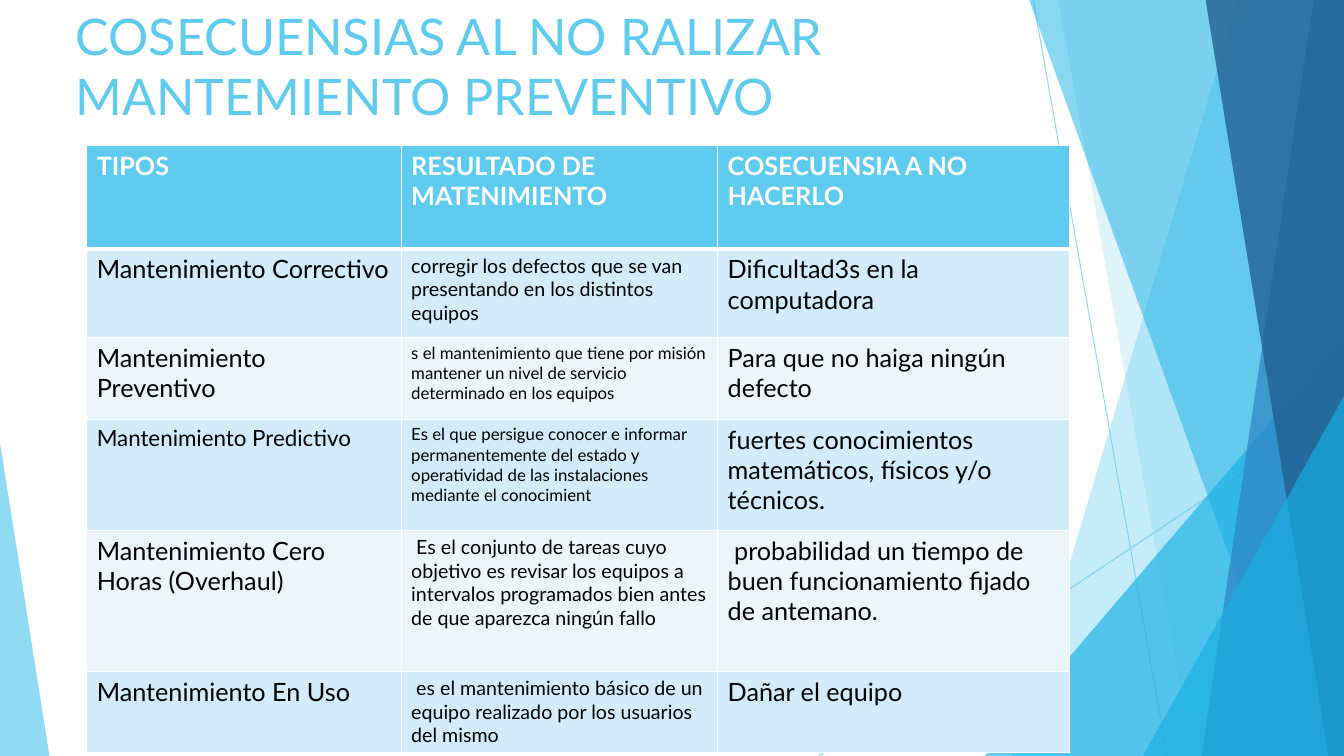
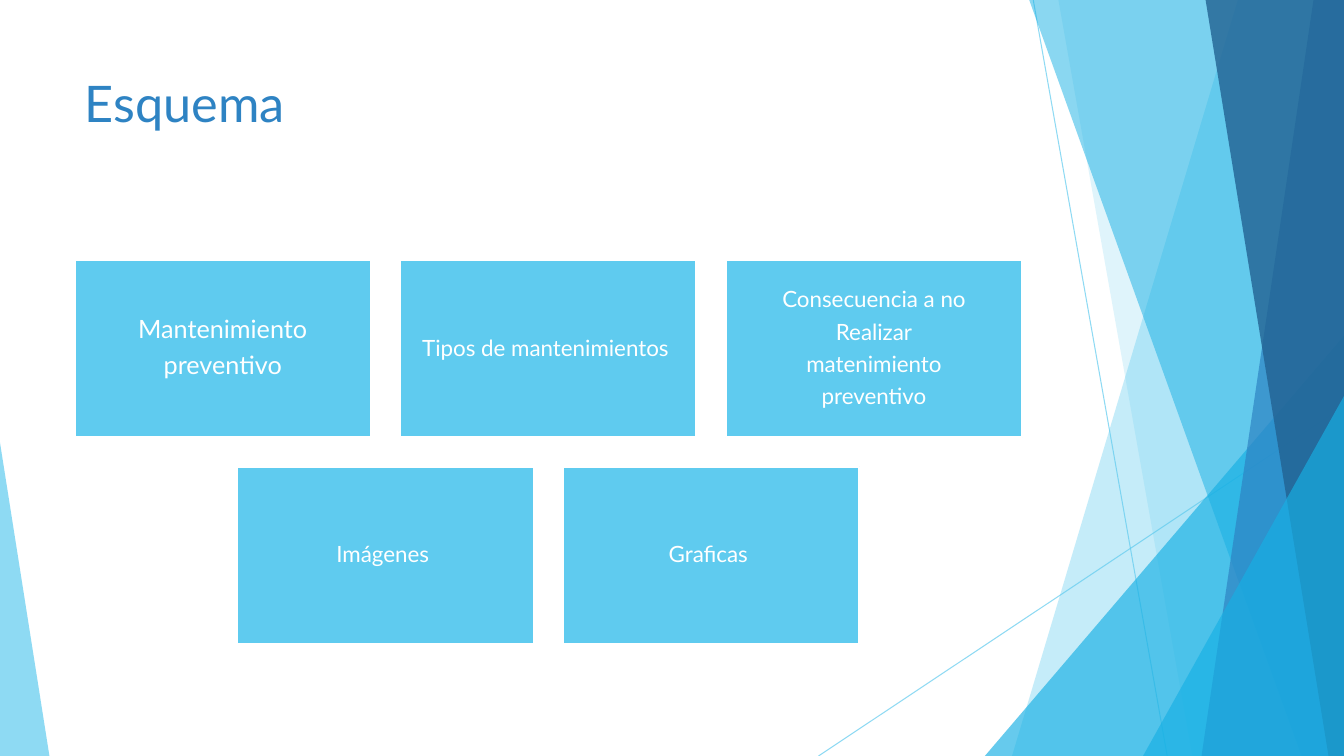
from dataclasses import dataclass

from lxml import etree
from pptx import Presentation
from pptx.dml.color import RGBColor
from pptx.enum.shapes import MSO_CONNECTOR, MSO_SHAPE, PP_PLACEHOLDER
from pptx.enum.text import MSO_ANCHOR, MSO_AUTO_SIZE, PP_ALIGN
from pptx.oxml.ns import qn
from pptx.util import Emu, Inches, Pt

RECTANGLE = MSO_SHAPE.RECTANGLE
TRIANGLE = MSO_SHAPE.ISOSCELES_TRIANGLE
STRAIGHT = MSO_CONNECTOR.STRAIGHT
TITLE = PP_PLACEHOLDER.TITLE
LEFT, CENTER = PP_ALIGN.LEFT, PP_ALIGN.CENTER
TOP, MIDDLE = MSO_ANCHOR.TOP, MSO_ANCHOR.MIDDLE
NO_FIT = MSO_AUTO_SIZE.NONE

FONT = "Lato"
COLORS = {
    "sky": "5FCBEF",
    "cyan": "17B0E4",
    "blue": "2E83C3",
    "navy": "226292",
    "pale": "D2ECF9",
    "paler": "EAF6FC",
    "white": "FFFFFF",
    "black": "000000",
}
SLIDE_WIDTH = Inches(13.33)
SLIDE_HEIGHT = Inches(7.5)
TITLE_ONLY = 5


def across(percent: float) -> Emu:
    return Emu(round(SLIDE_WIDTH * percent / 100))


def down(percent: float) -> Emu:
    return Emu(round(SLIDE_HEIGHT * percent / 100))


def color(name: str) -> RGBColor:
    return RGBColor.from_string(COLORS[name])


@dataclass(frozen=True)
class Ray:
    start: tuple[float, float]
    end: tuple[float, float]


@dataclass(frozen=True)
class Band:
    top_x: float
    bottom_x: float
    color: str
    opacity: int


@dataclass(frozen=True)
class Corner:
    left: float
    top: float
    width: float
    apex: float
    color: str
    opacity: int


@dataclass(frozen=True)
class Text:
    words: str
    size: float = 18


@dataclass(frozen=True)
class Card:
    lines: tuple[str, ...]
    size: float = 16


DECORATION = (
    Ray((76.88, 0), (86.85, 100)),
    Ray((100, 53.73), (60.9, 100)),
    Band(92.1, 75.3, "sky", 36),
    Band(78.75, 88.72, "sky", 20),
    Corner(73.28, 44.4, 26.72, 1, "cyan", 66),
    Band(76.58, 96.83, "cyan", 50),
    Band(97.73, 89.4, "blue", 70),
    Band(89.7, 98.85, "navy", 80),
    Corner(85.05, 52.4, 14.95, 1, "cyan", 66),
    Corner(0, 58.53, 3.68, 0, "sky", 70),
)

COLUMN_WIDTHS = (23.4, 23.55, 26.18)
ROW_HEIGHTS = (13.73, 11.73, 10.8, 14.67, 18.67, 10.8)
TABLE_ROWS = (
    (Text("TIPOS"), Text("RESULTADO DE MATENIMIENTO"), Text("COSECUENSIA A NO HACERLO")),
    (
        Text("Mantenimiento Correctivo"),
        Text("corregir los defectos que se van presentando en los distintos equipos", 14),
        Text("Dificultad3s en la computadora"),
    ),
    (
        Text("Mantenimiento Preventivo"),
        Text("s el mantenimiento que tiene por misión mantener un nivel de servicio "
             "determinado en los equipos", 12),
        Text("Para que no haiga ningún defecto"),
    ),
    (
        Text("Mantenimiento Predictivo", 16),
        Text("Es el que persigue conocer e informar permanentemente del estado y "
             "operatividad de las instalaciones mediante el conocimient", 12),
        Text("fuertes conocimientos matemáticos, físicos y/o técnicos."),
    ),
    (
        Text("Mantenimiento Cero Horas (Overhaul)"),
        Text("\u00a0Es el conjunto de tareas cuyo objetivo es revisar los equipos a "
             "intervalos programados bien antes de que aparezca ningún fallo", 14),
        Text("\u00a0probabilidad un tiempo de buen funcionamiento fijado de antemano."),
    ),
    (
        Text("Mantenimiento En Uso"),
        Text("\u00a0es el mantenimiento básico de un equipo realizado por los usuarios "
             "del mismo", 14),
        Text("Dañar el equipo"),
    ),
)

CARD_ROWS = (
    (
        Card(("Mantenimiento", "preventivo"), 18),
        Card(("Tipos de mantenimientos ",)),
        Card(("Consecuencia a no", "Realizar", "matenimiento", "preventivo")),
    ),
    (Card(("Imágenes ",)), Card(("Graficas ",))),
)
CARD_LEFT, CARD_TOP = 5.55, 34.4
CARD_WIDTH, CARD_HEIGHT = 22.05, 23.47
CARD_STEP_X, CARD_STEP_Y = 24.23, 27.33


def set_opacity(shape, percent: int) -> None:
    shade = shape.element.spPr.find(".//" + qn("a:srgbClr"))
    etree.SubElement(shade, qn("a:alpha")).set("val", str(percent * 1000))


def paint(shape, fill: str) -> None:
    shape.shadow.inherit = False
    shape.fill.solid()
    shape.fill.fore_color.rgb = color(fill)
    shape.line.fill.background()


def add_span(para, words: str, size: float, shade: str, bold: bool = False) -> None:
    span = para.add_run()
    span.text = words
    span.font.name = FONT
    span.font.size = Pt(size)
    span.font.bold = bold
    span.font.color.rgb = color(shade)


def draw_ray(shapes, ray: Ray) -> None:
    line = shapes.add_connector(
        STRAIGHT, across(ray.start[0]), down(ray.start[1]),
        across(ray.end[0]), down(ray.end[1]),
    )
    line.line.color.rgb = color("sky")
    line.line.width = Pt(0.75)
    set_opacity(line, 70)
    etree.SubElement(line.element.spPr, qn("a:effectLst"))


def draw_band(shapes, band: Band) -> None:
    builder = shapes.build_freeform(across(band.top_x), 0)
    corners = ((100, 0), (100, 100), (band.bottom_x, 100))
    builder.add_line_segments([(across(x), down(y)) for x, y in corners], close=True)
    shape = builder.convert_to_shape()
    paint(shape, band.color)
    set_opacity(shape, band.opacity)


def draw_corner(shapes, corner: Corner) -> None:
    shape = shapes.add_shape(
        TRIANGLE, across(corner.left), down(corner.top),
        across(corner.width), down(100 - corner.top),
    )
    shape.adjustments[0] = corner.apex
    paint(shape, corner.color)
    set_opacity(shape, corner.opacity)


def decorate_layout(layout, page) -> None:
    for placeholder in list(layout.placeholders):
        if placeholder.placeholder_format.type != TITLE:
            layout.shapes.element.remove(placeholder.element)
    group = page.shapes.add_group_shape()
    draw = {Ray: draw_ray, Band: draw_band, Corner: draw_corner}
    for part in DECORATION:
        draw[type(part)](group.shapes, part)
    layout.shapes.element.insert(2, group.element)


def write_title(page, words: str, left: float, top: float, shade: str) -> None:
    title = page.shapes.title
    title.left, title.top = across(left), down(top)
    title.width, title.height = across(70.5), down(19.2)
    frame = title.text_frame
    frame.word_wrap = True
    frame.auto_size = NO_FIT
    frame.vertical_anchor = TOP
    para = frame.paragraphs[0]
    para.alignment = LEFT
    add_span(para, words, 36, shade)


def set_borders(cell, top: float, bottom: float) -> None:
    properties = cell._tc.get_or_add_tcPr()
    sides = (("L", 1), ("R", 1), ("T", top), ("B", bottom))
    for index, (side, points) in enumerate(sides):
        line = etree.Element(qn(f"a:ln{side}"), w=str(Pt(points)))
        fill = etree.SubElement(line, qn("a:solidFill"))
        etree.SubElement(fill, qn("a:srgbClr"), val=COLORS["white"])
        properties.insert(index, line)


def draw_table(page) -> None:
    table = page.shapes.add_table(
        len(ROW_HEIGHTS), len(COLUMN_WIDTHS), across(6.45), down(19.2),
        across(sum(COLUMN_WIDTHS)), down(sum(ROW_HEIGHTS)),
    ).table
    for column, width in zip(table.columns, COLUMN_WIDTHS):
        column.width = across(width)
    for row_index, (height, texts) in enumerate(zip(ROW_HEIGHTS, TABLE_ROWS)):
        table.rows[row_index].height = down(height)
        header = row_index == 0
        fill = "sky" if header else ("paler", "pale")[row_index % 2]
        for column_index, text in enumerate(texts):
            cell = table.cell(row_index, column_index)
            cell.fill.solid()
            cell.fill.fore_color.rgb = color(fill)
            set_borders(cell, 3 if row_index == 1 else 1, 3 if header else 1)
            shade = "white" if header else "black"
            add_span(cell.text_frame.paragraphs[0], text.words, text.size, shade, header)


def draw_card(page, card: Card, left: float, top: float) -> None:
    box = page.shapes.add_shape(
        RECTANGLE, across(left), down(top), across(CARD_WIDTH), down(CARD_HEIGHT)
    )
    paint(box, "sky")
    box.line.color.rgb = color("white")
    box.line.width = Pt(1.5)
    frame = box.text_frame
    frame.word_wrap = True
    frame.vertical_anchor = MIDDLE
    frame.margin_left = frame.margin_right = across(0.5)
    frame.margin_top = frame.margin_bottom = down(0.9)
    for index, words in enumerate(card.lines):
        para = frame.add_paragraph() if index else frame.paragraphs[0]
        para.alignment = CENTER
        para.line_spacing = 0.9
        para.space_after = Pt(0.35 * card.size)
        add_span(para, words, card.size, "white")


def draw_cards(page) -> None:
    widest = max(len(cards) for cards in CARD_ROWS)
    for row, cards in enumerate(CARD_ROWS):
        indent = (widest - len(cards)) / 2
        for column, card in enumerate(cards):
            left = CARD_LEFT + CARD_STEP_X * (column + indent)
            draw_card(page, card, left, CARD_TOP + CARD_STEP_Y * row)


def main() -> None:
    deck = Presentation()
    deck.slide_width, deck.slide_height = SLIDE_WIDTH, SLIDE_HEIGHT
    layout = deck.slide_layouts[TITLE_ONLY]
    consequences = deck.slides.add_slide(layout)
    decorate_layout(layout, consequences)
    write_title(
        consequences, "COSECUENSIAS AL NO RALIZAR MANTEMIENTO PREVENTIVO", 4.88, 0, "sky"
    )
    draw_table(consequences)
    overview = deck.slides.add_slide(layout)
    write_title(overview, "Esquema", 5.55, 8.93, "blue")
    draw_cards(overview)
    deck.save("out.pptx")


main()
